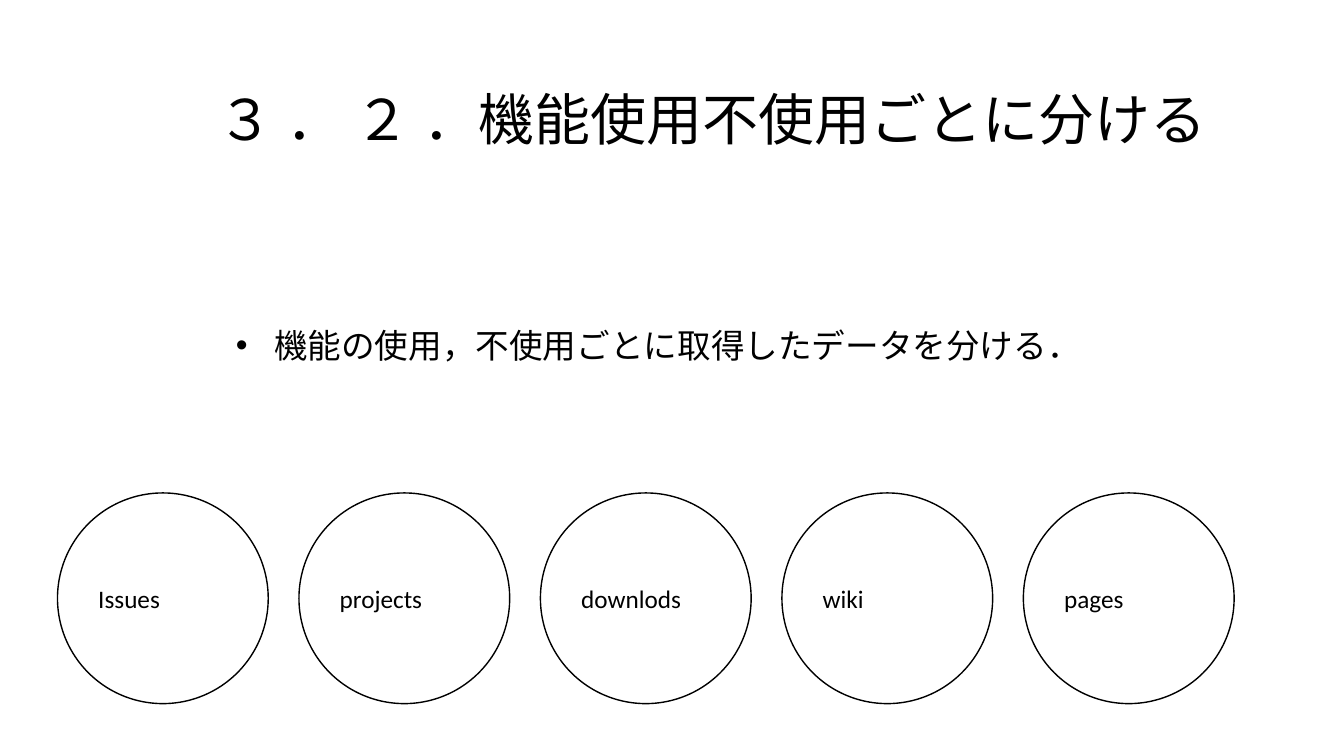
"""Build the slide on splitting data by whether each feature is used."""
from dataclasses import dataclass

from lxml.etree import SubElement
from pptx import Presentation
from pptx.dml.color import RGBColor
from pptx.enum.shapes import MSO_SHAPE
from pptx.enum.text import MSO_ANCHOR, MSO_AUTO_SIZE, PP_ALIGN
from pptx.oxml.ns import qn
from pptx.shapes.autoshape import Shape
from pptx.slide import Slide
from pptx.util import Inches, Pt

BLACK = RGBColor(0, 0, 0)
FONT = "Calibri"
FEATURES = ("Issues", "projects", "downlods", "wiki", "pages")
FIRST_LEFT, LAST_LEFT = Inches(0.57), Inches(10.15)
CIRCLE_TOP, DIAMETER = Inches(4.89), Inches(2.09)
BULLET_INDENT = Inches(0.38)


@dataclass(frozen=True)
class TextBlock:
    """A line of text with its place, in inches, and its size in points."""

    text: str
    left: float
    top: float
    width: float
    height: float
    size: int
    bullet: bool = False


TEXT_BLOCKS = (
    TextBlock("３ ． ２ ．機能使用不使用ごとに分ける", 2.06, 0.79, 10.2, 0.77, 40),
    TextBlock("機能の使用，不使用ごとに取得したデータを分ける．", 2.24, 3.17, 9.21, 0.5, 24, bullet=True),
)


def write_text(shape: Shape, text: str, *, size: int,
               align: PP_ALIGN = PP_ALIGN.LEFT,
               anchor: MSO_ANCHOR = MSO_ANCHOR.TOP, bullet: bool = False) -> None:
    """Put one formatted paragraph into a shape."""
    frame = shape.text_frame
    frame.word_wrap = True
    frame.vertical_anchor = anchor
    paragraph = frame.paragraphs[0]
    paragraph.alignment = align
    run = paragraph.add_run()
    run.text = text
    run.font.name = FONT
    run.font.size = Pt(size)
    run.font.color.rgb = BLACK
    if bullet:
        properties = paragraph._p.get_or_add_pPr()
        properties.set("marL", str(BULLET_INDENT))
        properties.set("indent", str(-BULLET_INDENT))
        SubElement(properties, qn("a:buFont"), typeface="Arial")
        SubElement(properties, qn("a:buChar"), char="•")


def add_text_block(slide: Slide, block: TextBlock) -> None:
    """Add a text box that grows with its text."""
    box = slide.shapes.add_textbox(Inches(block.left), Inches(block.top),
                                   Inches(block.width), Inches(block.height))
    write_text(box, block.text, size=block.size, bullet=block.bullet)
    box.text_frame.auto_size = MSO_AUTO_SIZE.SHAPE_TO_FIT_TEXT


def add_feature_circle(slide: Slide, feature: str, left: int) -> None:
    """Add an outlined circle that names a feature."""
    circle = slide.shapes.add_shape(MSO_SHAPE.OVAL, left, CIRCLE_TOP, DIAMETER, DIAMETER)
    circle.shadow.inherit = False
    circle.fill.background()
    circle.line.color.rgb = BLACK
    circle.line.width = Pt(1)
    write_text(circle, feature, size=18, align=PP_ALIGN.JUSTIFY, anchor=MSO_ANCHOR.MIDDLE)


def main() -> None:
    """Create the presentation and save it."""
    presentation = Presentation()
    presentation.slide_width = Inches(13.33)
    presentation.slide_height = Inches(7.5)
    slide = presentation.slides.add_slide(presentation.slide_layouts[6])
    for block in TEXT_BLOCKS:
        add_text_block(slide, block)
    pitch = (LAST_LEFT - FIRST_LEFT) // (len(FEATURES) - 1)
    for index, feature in enumerate(FEATURES):
        add_feature_circle(slide, feature, FIRST_LEFT + index * pitch)
    presentation.save("out.pptx")


main()
